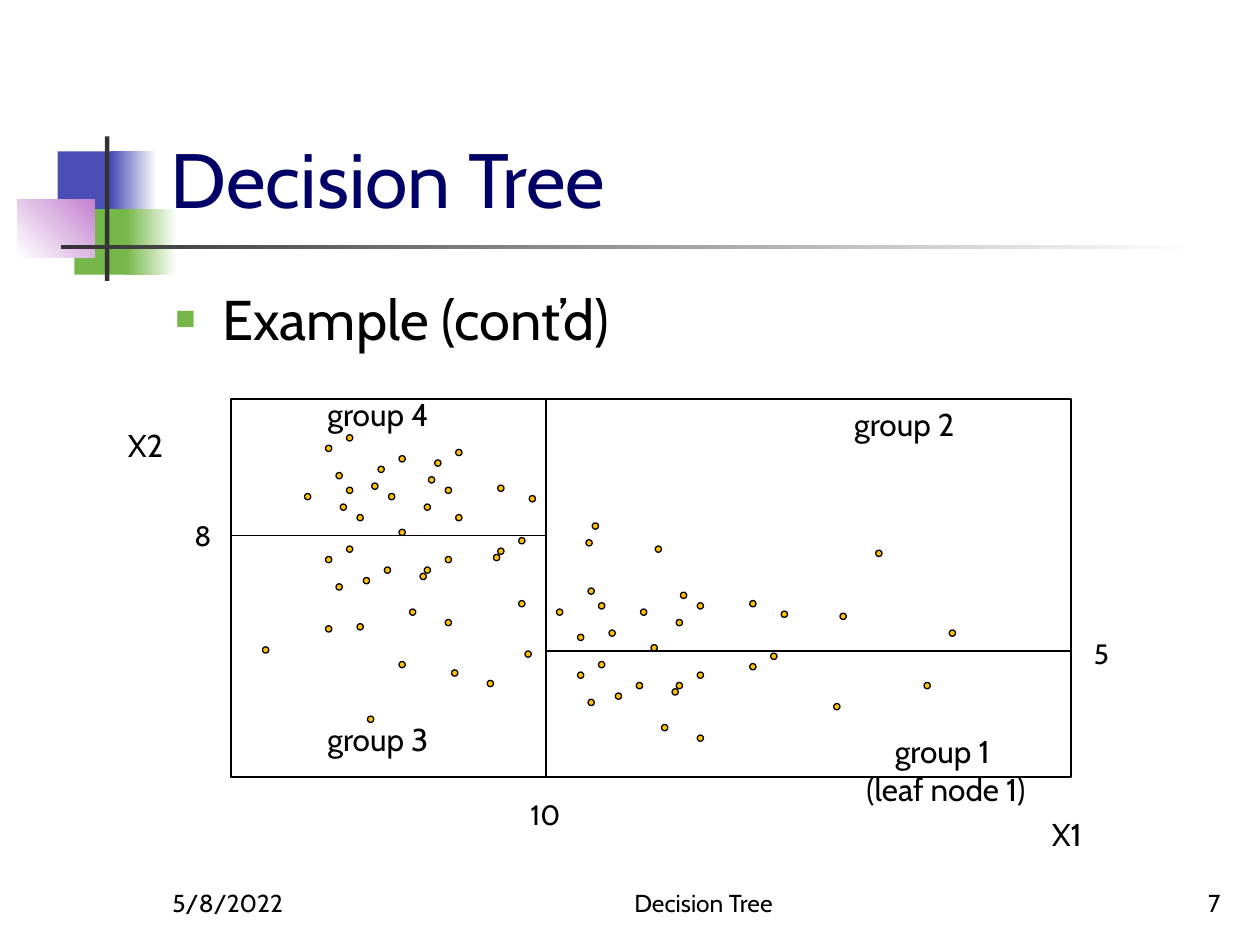
import pptx
import pptx.dml.color
import pptx.enum.shapes
import pptx.enum.text
import pptx.oxml
import pptx.oxml.ns
import pptx.util
from lxml import etree

Pt = pptx.util.Pt
SHAPES = pptx.enum.shapes.MSO_SHAPE
ALIGN = pptx.enum.text.PP_ALIGN
ANCHOR = pptx.enum.text.MSO_ANCHOR
AUTO_SIZE = pptx.enum.text.MSO_AUTO_SIZE

FONT = "Cabin"
BLACK, WHITE, GRAY, NAVY = "000000", "FFFFFF", "333333", "000066"
BLUE, GREEN, PINK, AMBER = "4B4EB5", "76B749", "C481CF", "FFC000"
GRID, DOT = 1.2, 3.6

ORNAMENTS = [
    ((33, 86.5, 34.5, 37.5), [BLUE], 0),
    ((63.5, 86.5, 26, 37.5), [BLUE, WHITE], 0),
    ((42.5, 119.5, 33, 37.5), [GREEN], 0),
    ((72, 119.5, 29, 37.5), [GREEN, WHITE], 0),
    ((10, 114, 44, 33), [WHITE, PINK], 45),
    ((60, 78, 2.5, 82.5), [GRAY], 0),
    ((35, 140, 648, 2.5), [GRAY, WHITE], 0),
]
FOOTERS = [
    ((91.5, 492, 150, 36), "5/8/2022", ALIGN.LEFT),
    ((288, 492, 228, 36), "Decision Tree", ALIGN.CENTER),
    ((554.5, 492, 150, 36), "7", ALIGN.RIGHT),
]
SPLITS = [(312, 228, 312, 444), (132, 306, 312, 306), (312.5, 372, 611.5, 372)]
LABELS = [
    ((594, 462, 35.5, 29), "X1", 18, ALIGN.LEFT),
    ((66, 240, 35.5, 29), "X2", 18, ALIGN.LEFT),
    ((296, 452, 32.5, 26.5), "10", 16, ALIGN.LEFT),
    ((104, 293, 23, 26.5), "8", 16, ALIGN.LEFT),
    ((618, 360, 23, 26.5), "5", 16, ALIGN.LEFT),
    ((180, 408, 77, 29), "group 3", 18, ALIGN.LEFT),
    ((180, 222, 77, 29), "group 4", 18, ALIGN.LEFT),
    ((481, 228, 77, 29), "group 2", 18, ALIGN.LEFT),
    ((481, 415, 119, 51), "group 1 \n(leaf node 1)", 18, ALIGN.CENTER),
]
SAMPLES = [
    (155, 212), (165, 207), (160, 225), (177, 230), (180, 222), (190, 217),
    (185, 235), (202, 240), (155, 265), (165, 260), (160, 278), (204, 227),
    (207, 219), (217, 214), (212, 232), (155, 298), (145, 235), (162, 240),
    (165, 232), (170, 245), (202, 270), (212, 265), (200, 273), (170, 297),
    (173, 275), (183, 270), (195, 290), (212, 295), (175, 341), (190, 315),
    (215, 319), (232, 324), (125, 308), (217, 245), (190, 252), (237, 231),
    (237, 261), (247, 256), (235, 264), (247, 286), (250, 310), (252, 236),
    (279, 257), (282, 249), (400, 292), (417, 262), (280, 280), (312, 260),
    (305, 290), (322, 295), (275, 320), (285, 315), (280, 333), (324, 282),
    (332, 287), (265, 290), (275, 302), (285, 287), (290, 300), (322, 325),
    (332, 320), (320, 328), (293, 330), (303, 325), (315, 345), (332, 350),
    (452, 300), (310, 307), (357, 286), (357, 316), (367, 311), (397, 335),
    (440, 325), (372, 291),
]


def color(value):
    """Turn a hex string into a colour."""
    return pptx.dml.color.RGBColor.from_string(value)


def place(shape, area):
    """Move and size a shape in points."""
    shape.left, shape.top, shape.width, shape.height = map(Pt, area)


def write(frame, text, size, ink=BLACK, align=ALIGN.LEFT):
    """Fill a text frame and format its runs."""
    frame.text = text
    for para in frame.paragraphs:
        para.alignment = align
        for span in para.runs:
            span.font.name = FONT
            span.font.size = Pt(size)
            span.font.color.rgb = color(ink)


def add_figure(shapes, kind, area, fills=(), angle=0, outlined=False):
    """Add a preset shape with no, solid or gradient fill."""
    shape = shapes.add_shape(kind, *map(Pt, area))
    shape.shadow.inherit = False
    if len(fills) == 2:
        shape.fill.gradient()
        shape.fill.gradient_angle = angle
        for stop, value in zip(shape.fill.gradient_stops, fills):
            stop.color.rgb = color(value)
    elif fills:
        shape.fill.solid()
        shape.fill.fore_color.rgb = color(fills[0])
    else:
        shape.fill.background()
    if outlined:
        shape.line.color.rgb = color(BLACK)
        shape.line.width = Pt(0.75)
    else:
        shape.line.fill.background()


def add_split(shapes, ends):
    """Add a thin straight dividing line."""
    line = shapes.add_connector(pptx.enum.shapes.MSO_CONNECTOR.STRAIGHT, *map(Pt, ends))
    line.line.color.rgb = color(BLACK)
    line.line.width = Pt(0.75)
    etree.SubElement(line.element.spPr, pptx.oxml.ns.qn("a:effectLst"))


def add_label(shapes, area, text, size, align):
    """Add a text box that fits its text."""
    box = shapes.add_textbox(*map(Pt, area))
    write(box.text_frame, text, size, align=align)
    box.text_frame.word_wrap = False
    box.text_frame.auto_size = AUTO_SIZE.SHAPE_TO_FIT_TEXT


def add_footer(shapes, area, text, align):
    """Add a bottom-anchored footer text."""
    box = shapes.add_textbox(*map(Pt, area))
    box.text_frame.word_wrap = True
    box.text_frame.vertical_anchor = ANCHOR.BOTTOM
    write(box.text_frame, text, 14, align=align)


def set_bullet(para):
    """Give a paragraph a small green square bullet."""
    para.space_before = Pt(0)
    properties = para._p.get_or_add_pPr()
    properties.set("marL", str(Pt(27)))
    properties.set("indent", str(-Pt(27)))
    namespace = pptx.oxml.ns.nsdecls("a")
    for markup in (
        f'<a:buClr {namespace}><a:srgbClr val="{GREEN}"/></a:buClr>',
        f'<a:buSzPct {namespace} val="60000"/>',
        f'<a:buChar {namespace} char="■"/>',
    ):
        properties.append(pptx.oxml.parse_xml(markup))


def fill_placeholder(holder, area, text, size, ink, anchor):
    """Place a placeholder in front and write its text."""
    holder.element.getparent().append(holder.element)
    place(holder, area)
    holder.text_frame.auto_size = AUTO_SIZE.NONE
    holder.text_frame.vertical_anchor = anchor
    write(holder.text_frame, text, size, ink)


def add_plot(page):
    """Draw the partitioned scatter of samples as one group."""
    shapes = page.shapes.add_group_shape().shapes
    add_figure(shapes, SHAPES.RECTANGLE, (132, 228, 480, 216), outlined=True)
    for ends in SPLITS:
        add_split(shapes, ends)
    for column, row in SAMPLES:
        area = (column * GRID, row * GRID, DOT, DOT)
        add_figure(shapes, SHAPES.OVAL, area, [AMBER], outlined=True)
    for label in LABELS:
        add_label(shapes, *label)


def main():
    """Build and save the deck."""
    deck = pptx.Presentation()
    deck.slide_width, deck.slide_height = Pt(720), Pt(540)
    page = deck.slides.add_slide(deck.slide_layouts[1])
    title, body = page.shapes.title, page.placeholders[1]
    for area, fills, angle in ORNAMENTS:
        add_figure(page.shapes, SHAPES.RECTANGLE, area, fills, angle)
    fill_placeholder(title, (90.5, 16.5, 613.5, 115), "Decision Tree", 44, NAVY, ANCHOR.BOTTOM)
    fill_placeholder(body, (93, 159, 612, 324), "Example (cont’d)", 32, BLACK, ANCHOR.TOP)
    set_bullet(body.text_frame.paragraphs[0])
    for footer in FOOTERS:
        add_footer(page.shapes, *footer)
    add_plot(page)
    deck.save("out.pptx")


if __name__ == "__main__":
    main()
